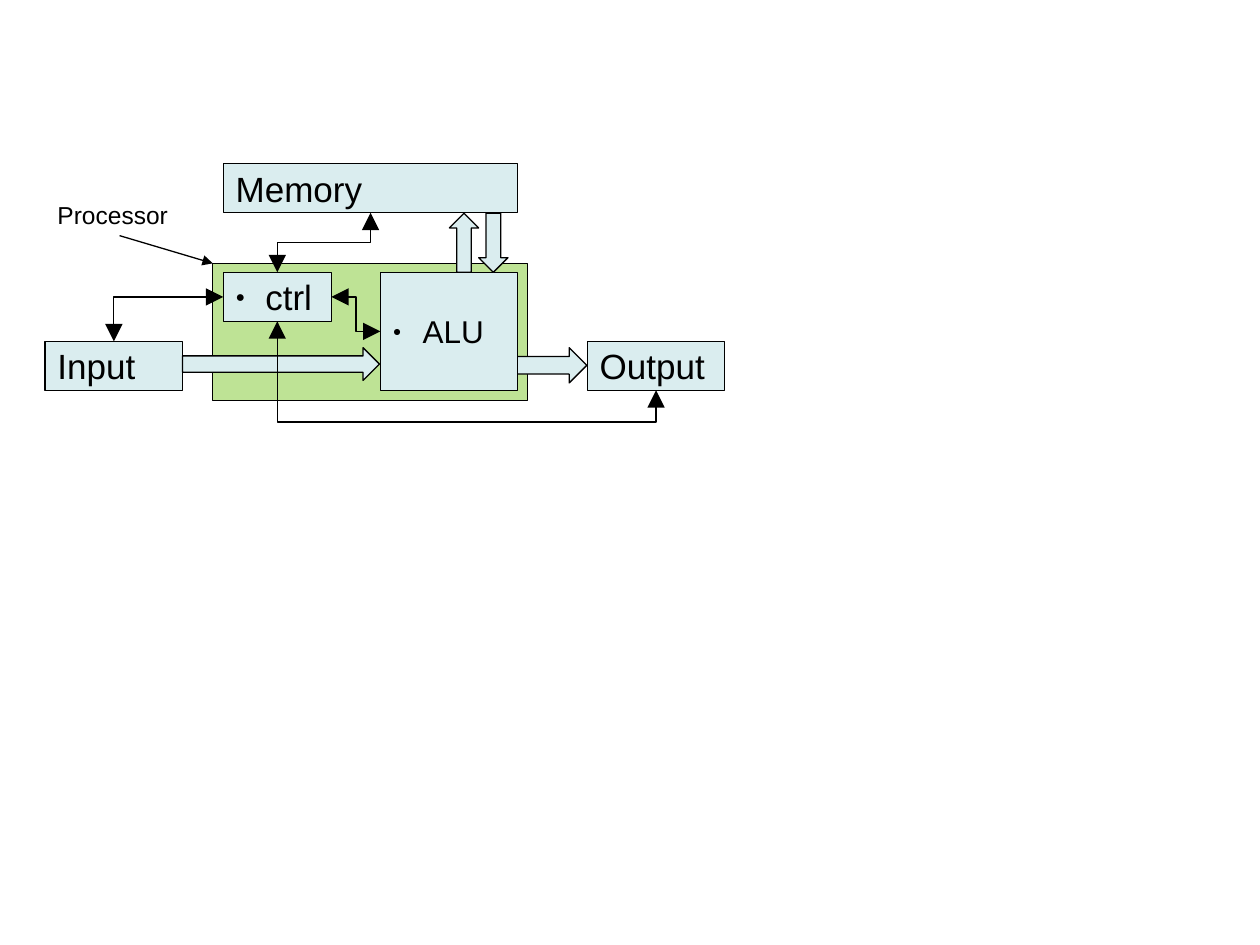
from lxml import etree
from pptx import Presentation
from pptx.dml.color import RGBColor
from pptx.enum.shapes import MSO_CONNECTOR, MSO_SHAPE
from pptx.enum.text import MSO_ANCHOR, PP_ALIGN
from pptx.oxml.ns import qn
from pptx.util import Cm, Pt

RECTANGLE = MSO_SHAPE.RECTANGLE
RIGHT_ARROW = MSO_SHAPE.RIGHT_ARROW
STRAIGHT = MSO_CONNECTOR.STRAIGHT
ELBOW = MSO_CONNECTOR.ELBOW
MIDDLE = MSO_ANCHOR.MIDDLE
LEFT = PP_ALIGN.LEFT

BLACK = RGBColor(0x00, 0x00, 0x00)
GREEN = RGBColor(0xBE, 0xE3, 0x95)
PALE_BLUE = RGBColor(0xDA, 0xED, 0xEF)
OUTLINE = Pt(0.75)
UNIT_HEIGHT = 0.99
UNIT_WIDTH = 2.77


def add_block(slide, kind, left, top, width, height, fill=PALE_BLUE, rotation=0):
    block = slide.shapes.add_shape(kind, Cm(left), Cm(top), Cm(width), Cm(height))
    block.shadow.inherit = False
    block.fill.solid()
    block.fill.fore_color.rgb = fill
    block.line.color.rgb = BLACK
    block.line.width = OUTLINE
    block.rotation = rotation
    return block


def write_label(holder, text, size):
    holder.text_frame.word_wrap = True
    label = holder.text_frame.paragraphs[0]
    label.text = text
    label.alignment = LEFT
    label.font.name = "Arial"
    label.font.size = Pt(size)
    label.font.color.rgb = BLACK
    return label


def add_bullet(label):
    properties = label._p.get_or_add_pPr()
    properties.set("marL", str(Cm(0.6)))
    properties.set("indent", str(Cm(-0.6)))
    etree.SubElement(properties, qn("a:buSzPct"), val="45000")
    etree.SubElement(properties, qn("a:buFont"), typeface="Arial")
    etree.SubElement(properties, qn("a:buChar"), char="●")


def add_unit(slide, text, left, top, width, height=UNIT_HEIGHT, size=20, bulleted=False):
    unit = add_block(slide, RECTANGLE, left, top, width, height)
    unit.text_frame.vertical_anchor = MIDDLE
    label = write_label(unit, text, size)
    if bulleted:
        add_bullet(label)
    return unit


def add_line(slide, kind, start, end, heads, head_size):
    line = slide.shapes.add_connector(kind, *start, *end)
    line.line.color.rgb = BLACK
    line.line.width = OUTLINE
    outline = line.line._get_or_add_ln()
    for head in heads:
        etree.SubElement(outline, qn(f"a:{head}"), type="triangle", w=head_size, len=head_size)
    etree.SubElement(line._element.spPr, qn("a:effectLst"))
    return line


def add_elbow(slide, start, end, rotation, flipped=False, bend=0.5, single_bend=False):
    width, height = abs(end[0] - start[0]), abs(end[1] - start[1])
    if rotation in (90, 270):
        width, height = height, width
    left = (start[0] + end[0] - width) // 2
    top = (start[1] + end[1] - height) // 2
    elbow = add_line(slide, ELBOW, (left, top), (left + width, top + height),
                     ("headEnd", "tailEnd"), "lg")
    properties = elbow._element.spPr
    frame = properties.find(qn("a:xfrm"))
    frame.set("rot", str(rotation * 60000))
    if flipped:
        frame.set("flipV", "1")
    geometry = properties.find(qn("a:prstGeom"))
    if single_bend:
        geometry.set("prst", "bentConnector2")
    else:
        adjustments = geometry.find(qn("a:avLst"))
        if adjustments is None:
            adjustments = etree.SubElement(geometry, qn("a:avLst"))
        etree.SubElement(adjustments, qn("a:gd"), name="adj1", fmla=f"val {round(bend * 100000)}")


def edge_point(unit, across, down):
    return unit.left + int(unit.width * across), unit.top + int(unit.height * down)


def add_caption(slide, text, left, top, width, height):
    caption = slide.shapes.add_textbox(Cm(left), Cm(top), Cm(width), Cm(height))
    write_label(caption, text, 14)


def main():
    deck = Presentation()
    deck.slide_width, deck.slide_height = Cm(25.4), Cm(19.05)
    slide = deck.slides.add_slide(deck.slide_layouts[6])

    processor = add_block(slide, RECTANGLE, 4.29, 5.31, 6.35, 2.77, GREEN)
    add_caption(slide, "Processor", 0.91, 3.91, 3, 0.86)
    add_line(slide, STRAIGHT, (Cm(2.41), Cm(4.75)), edge_point(processor, 0, 0),
             ("tailEnd",), "med")

    input_unit = add_unit(slide, "Input", 0.91, 6.88, UNIT_WIDTH)
    output_unit = add_unit(slide, "Output", 11.84, 6.88, UNIT_WIDTH)
    memory = add_unit(slide, "Memory", 4.5, 3.3, 5.94)
    control = add_unit(slide, "ctrl", 4.5, 5.49, 2.18, bulleted=True)

    add_block(slide, RIGHT_ARROW, 3.68, 7.01, 3.97, 0.66)
    add_block(slide, RIGHT_ARROW, 7.86, 7.01, 3.97, 0.71)
    alu = add_unit(slide, "ALU", 7.67, 5.49, UNIT_WIDTH, 2.38, 18, True)
    for left, rotation in ((9.35, 90), (8.76, 270)):
        add_block(slide, RIGHT_ARROW, left, 4.6, 1.19, 0.59, rotation=rotation)

    add_elbow(slide, edge_point(control, 0, 0.5), edge_point(input_unit, 0.5, 0),
              180, flipped=True, single_bend=True)
    add_elbow(slide, edge_point(memory, 0.5, 1), edge_point(control, 0.5, 0), 90)
    add_elbow(slide, edge_point(alu, 0, 0.5), edge_point(control, 1, 0.5), 180)
    add_elbow(slide, edge_point(output_unit, 0.5, 1), edge_point(control, 0.5, 1),
              270, flipped=True, bend=-0.46)

    deck.save("out.pptx")


if __name__ == "__main__":
    main()
